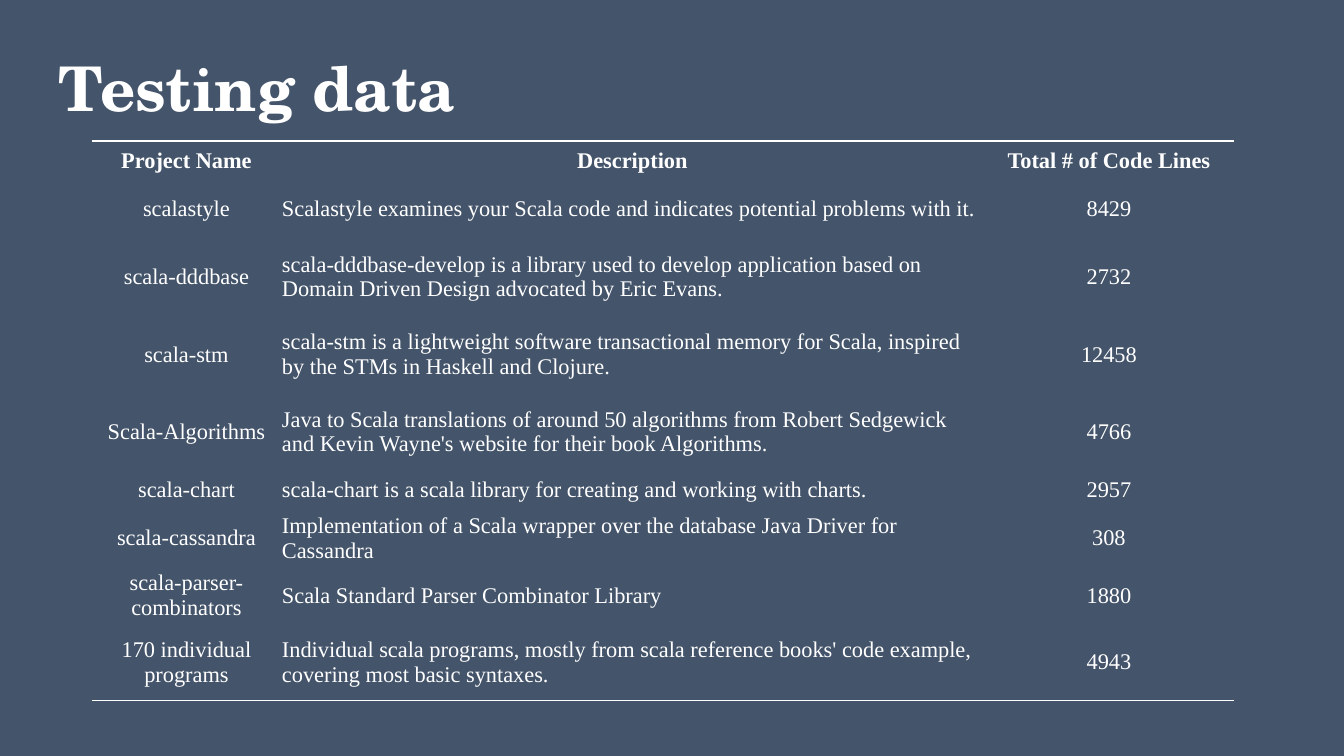
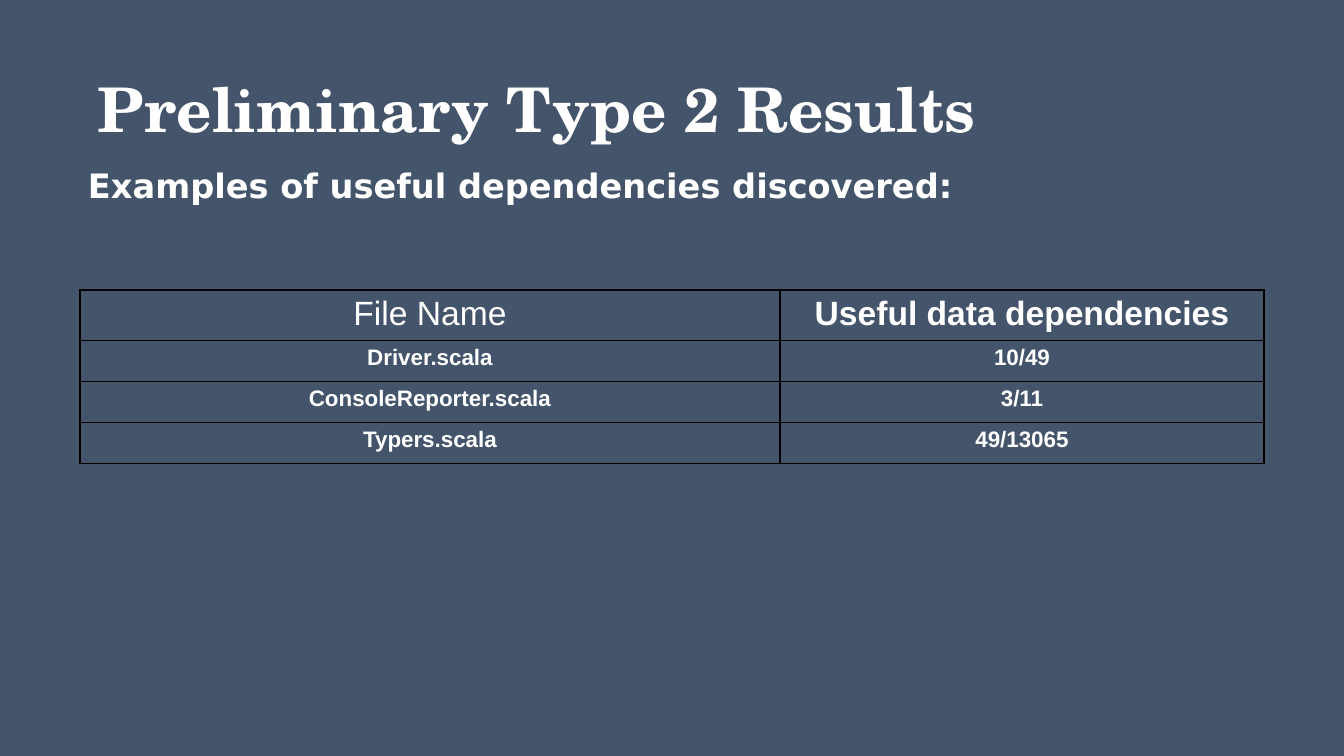
from lxml import etree
from pptx import Presentation
from pptx.dml.color import RGBColor
from pptx.enum.text import MSO_ANCHOR as Anchor, PP_ALIGN as Align
from pptx.oxml.ns import qn
from pptx.util import Pt

PX = 12192000 / 1344
SLATE, WHITE, BLACK = "44546A", "FFFFFF", "000000"
TITLE_FONT, SUBTITLE_FONT = "TeX Gyre Schola", "DejaVu Sans"
PROJECT_FONT, RESULT_FONT = "Times New Roman", "Arial"

PROJECTS = [
    ("Project Name", "Description", "Total # of Code Lines"),
    ("scalastyle", "Scalastyle examines your Scala code and indicates potential problems with it.", "8429"),
    ("scala-dddbase", "scala-dddbase-develop is a library used to develop application based on "
     "Domain Driven Design advocated by Eric Evans.", "2732"),
    ("scala-stm", "scala-stm is a lightweight software transactional memory for Scala, inspired "
     "by the STMs in Haskell and Clojure.", "12458"),
    ("Scala-Algorithms", "Java to Scala translations of around 50 algorithms from Robert Sedgewick "
     "and Kevin Wayne's website for their book Algorithms.", "4766"),
    ("scala-chart", "scala-chart is a scala library for creating and working with charts.", "2957"),
    ("scala-cassandra", "Implementation of a Scala wrapper over the database Java Driver for Cassandra", "308"),
    ("scala-parser-combinators", "Scala Standard Parser Combinator Library", "1880"),
    ("170 individual programs", "Individual scala programs, mostly from scala reference books' code "
     "example, covering most basic syntaxes.", "4943"),
]
PROJECT_COLUMNS = [189, 703, 250]
PROJECT_ROWS = [39, 58, 78, 77, 78, 38, 59, 52, 77]

RESULTS = [
    ("File Name", "Useful data dependencies"),
    ("Driver.scala", "10/49"),
    ("ConsoleReporter.scala", "3/11"),
    ("Typers.scala", "49/13065"),
]
RESULT_COLUMNS = [700, 484]
RESULT_ROWS = [47, 41, 41, 41]


def px(length):
    """Turn a length in px into EMU."""
    return round(length * PX)


def color(hex_code):
    """Return the colour for a hex string."""
    return RGBColor.from_string(hex_code)


def write(paragraph, text, font, size, bold):
    """Add one white run to a paragraph."""
    run = paragraph.add_run()
    run.text = text
    run.font.name = font
    run.font.size = Pt(size)
    run.font.bold = bold
    run.font.color.rgb = color(WHITE)


def add_line(slide, box, text, font, size, anchor, spacing):
    """Add a bold line of text in a box."""
    frame = slide.shapes.add_textbox(*map(px, box)).text_frame
    frame.word_wrap = True
    frame.vertical_anchor = anchor
    frame.margin_left = frame.margin_right = px(5)
    frame.margin_top = frame.margin_bottom = px(5)
    frame.paragraphs[0].line_spacing = spacing
    write(frame.paragraphs[0], text, font, size, True)


def add_title(slide, box, text):
    """Add the slide title."""
    add_line(slide, box, text, TITLE_FONT, 44, Anchor.MIDDLE, 0.9)


def set_borders(cell, edges, hex_code):
    """Draw the given edges of a cell and clear the others."""
    properties = cell._tc.get_or_add_tcPr()
    for edge in "LRTB":
        border = etree.SubElement(properties, qn(f"a:ln{edge}"), w=str(Pt(1)))
        if edge in edges:
            fill = etree.SubElement(border, qn("a:solidFill"))
            etree.SubElement(fill, qn("a:srgbClr"), val=hex_code)
        else:
            etree.SubElement(border, qn("a:noFill"))


def add_grid(slide, left, top, columns, rows):
    """Add an unbanded table with the given column and row sizes."""
    table = slide.shapes.add_table(len(rows), len(columns), px(left), px(top),
                                   px(sum(columns)), px(sum(rows))).table
    table.first_row = table.horz_banding = False
    for column, width in zip(table.columns, columns):
        column.width = px(width)
    for row, height in zip(table.rows, rows):
        row.height = px(height)
    return table


def fill_cell(cell, text, font, size, bold, align, edges, edge_color):
    """Write a transparent cell with its borders."""
    set_borders(cell, edges, edge_color)
    cell.fill.background()
    paragraph = cell.text_frame.paragraphs[0]
    paragraph.alignment = align
    write(paragraph, text, font, size, bold)


def add_project_table(slide):
    """Add the table of tested projects, ruled above and below."""
    table = add_grid(slide, 92, 141, PROJECT_COLUMNS, PROJECT_ROWS)
    last = len(PROJECTS) - 1
    for r, project in enumerate(PROJECTS):
        edges = {0: "T", last: "B"}.get(r, "")
        for c, text in enumerate(project):
            cell = table.cell(r, c)
            align = Align.LEFT if r and c == 1 else Align.CENTER
            fill_cell(cell, text, PROJECT_FONT, 16, r == 0, align, edges, WHITE)
            cell.vertical_anchor = Anchor.MIDDLE
            cell.margin_left = cell.margin_right = px(1)
            cell.margin_top = cell.margin_bottom = px(1)


def add_result_table(slide):
    """Add the fully ruled table of useful dependencies."""
    table = add_grid(slide, 80, 290, RESULT_COLUMNS, RESULT_ROWS)
    for r, result in enumerate(RESULTS):
        for c, text in enumerate(result):
            fill_cell(table.cell(r, c), text, RESULT_FONT, 16 if r else 24,
                      r > 0 or c > 0, Align.CENTER, "LRTB", BLACK)


def main():
    """Build and save the presentation."""
    deck = Presentation()
    deck.slide_width, deck.slide_height = px(1344), px(756)
    backdrop = deck.slide_master.background.fill
    backdrop.solid()
    backdrop.fore_color.rgb = color(SLATE)
    blank = deck.slide_layouts[6]

    testing = deck.slides.add_slide(blank)
    add_title(testing, (53, 19, 1159, 146), "Testing data")
    add_project_table(testing)

    results = deck.slides.add_slide(blank)
    add_title(results, (93, 25, 1159, 175), "Preliminary Type 2 Results")
    add_result_table(results)
    add_line(results, (83, 160, 899, 50), "Examples of useful dependencies discovered:",
             SUBTITLE_FONT, 24, Anchor.TOP, 1.0)

    deck.save("out.pptx")


if __name__ == "__main__":
    main()
